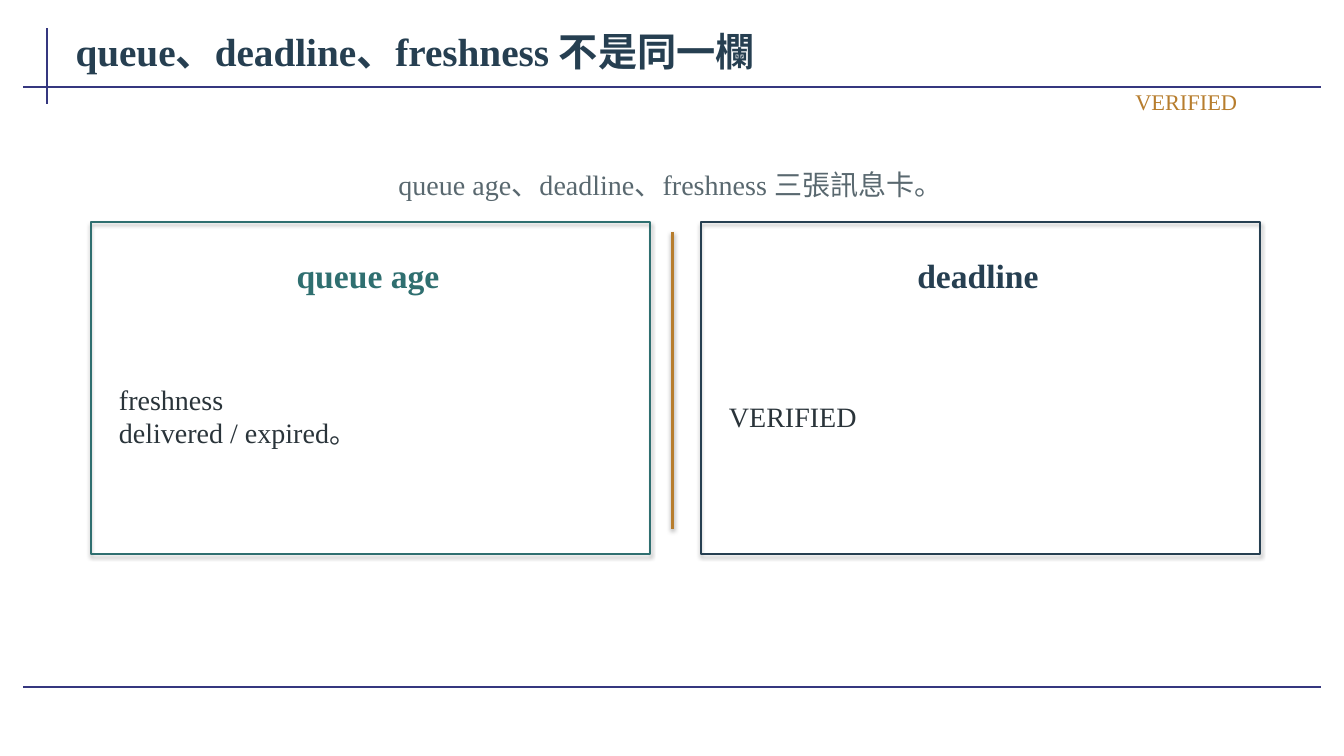
"""Build the slide that sets queue age and deadline side by side as two cards."""
from dataclasses import dataclass

import pptx
import pptx.dml.color
import pptx.enum.shapes
import pptx.enum.text
import pptx.oxml
import pptx.oxml.ns
import pptx.util

Inches = pptx.util.Inches
Pt = pptx.util.Pt
Align = pptx.enum.text.PP_ALIGN


@dataclass(frozen=True)
class Theme:
    """Colours, font and type sizes of the slide."""
    font: str = "Times New Roman"
    rule: str = "35377F"
    navy: str = "263F51"
    teal: str = "2F6F70"
    amber: str = "B77D2D"
    grey: str = "59686F"
    ink: str = "2A343A"
    title_size: int = 28
    heading_size: int = 24
    body_size: int = 20
    tag_size: int = 16


THEME = Theme()


def rgb(value):
    """Turn a hex string into a colour."""
    return pptx.dml.color.RGBColor.from_string(value)


def set_shadow(shape, opacity=0, distance=0):
    """Give a shape a soft downward shadow, or none when opacity is zero."""
    effects = pptx.oxml.parse_xml(f"<a:effectLst {pptx.oxml.ns.nsdecls('a')}/>")
    if opacity:
        effects.append(pptx.oxml.parse_xml(
            f"<a:outerShdw {pptx.oxml.ns.nsdecls('a')} blurRad='{Pt(3.1)}' "
            f"dist='{Pt(distance)}' dir='5400000' rotWithShape='0'>"
            f"<a:srgbClr val='000000'><a:alpha val='{opacity * 1000}'/></a:srgbClr>"
            "</a:outerShdw>"))
    shape._element.spPr.append(effects)


def add_line(slide, start, end, color, width):
    """Draw a straight line between two points."""
    line = slide.shapes.add_connector(
        pptx.enum.shapes.MSO_CONNECTOR.STRAIGHT,
        *(Inches(value) for value in (*start, *end)))
    line.line.color.rgb = rgb(color)
    line.line.width = Pt(width)
    return line


def add_text(slide, box, text, size, color, align=Align.LEFT, bold=False):
    """Add a vertically centred text box."""
    shape = slide.shapes.add_textbox(*(Inches(value) for value in box))
    frame = shape.text_frame
    frame.word_wrap = True
    frame.vertical_anchor = pptx.enum.text.MSO_ANCHOR.MIDDLE
    frame.margin_left = frame.margin_right = Inches(0.08)
    frame.margin_top = frame.margin_bottom = Inches(0.04)
    paragraph = frame.paragraphs[0]
    paragraph.text = text
    paragraph.alignment = align
    for run in paragraph.runs:
        run.font.name = THEME.font
        run.font.size = Pt(size)
        run.font.bold = bold
        run.font.color.rgb = rgb(color)


def add_card(slide, left, color, heading, body):
    """Add an outlined card with a heading and body text."""
    card = slide.shapes.add_shape(
        pptx.enum.shapes.MSO_SHAPE.RECTANGLE,
        Inches(left), Inches(2.2), Inches(5.55), Inches(3.3))
    card.fill.background()
    card.line.color.rgb = rgb(color)
    card.line.width = Pt(1.2)
    set_shadow(card, opacity=35, distance=1.8)
    add_text(slide, (left + 0.15, 2.4, 5.2, 0.65), heading,
             THEME.heading_size, color, Align.CENTER, bold=True)
    add_text(slide, (left + 0.2, 3.15, 5.1, 1.95), body, THEME.body_size, THEME.ink)


def add_frame(slide):
    """Draw the rules that frame the page."""
    for start, end in (((0.47, 0.28), (0.47, 1.03)),
                       ((0.23, 0.86), (13.1, 0.86)),
                       ((0.23, 6.82), (13.1, 6.82))):
        set_shadow(add_line(slide, start, end, THEME.rule, 1.5))


def main():
    """Build and save the slide."""
    presentation = pptx.Presentation()
    presentation.slide_width = Inches(13.33)
    presentation.slide_height = Inches(7.5)
    slide = presentation.slides.add_slide(presentation.slide_layouts[6])

    add_frame(slide)
    add_text(slide, (0.67, 0.19, 12, 0.63), "queue、deadline、freshness 不是同一欄",
             THEME.title_size, THEME.navy, bold=True)
    add_text(slide, (0.9, 1.55, 11.5, 0.55), "queue age、deadline、freshness 三張訊息卡。",
             THEME.body_size, THEME.grey, Align.CENTER)
    add_card(slide, 0.9, THEME.teal, "queue age", "freshness\ndelivered / expired。")
    add_card(slide, 6.95, THEME.navy, "deadline", "VERIFIED")
    divider = add_line(slide, (6.67, 2.3), (6.67, 5.25), THEME.amber, 1.8)
    set_shadow(divider, opacity=38, distance=1.6)
    add_text(slide, (9.15, 0.86, 3.2, 0.3), "VERIFIED",
             THEME.tag_size, THEME.amber, Align.RIGHT)

    presentation.save("out.pptx")


if __name__ == "__main__":
    main()
